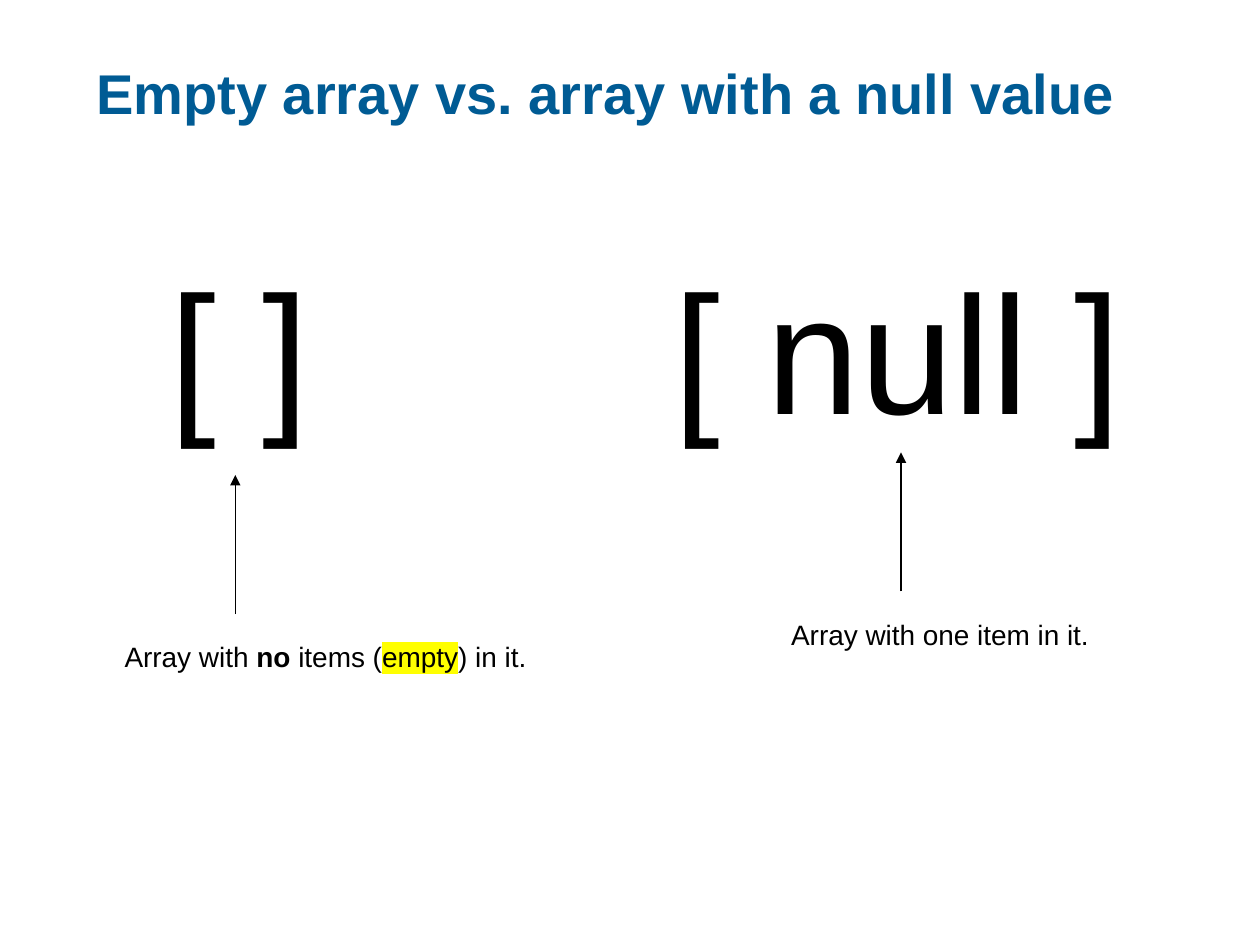
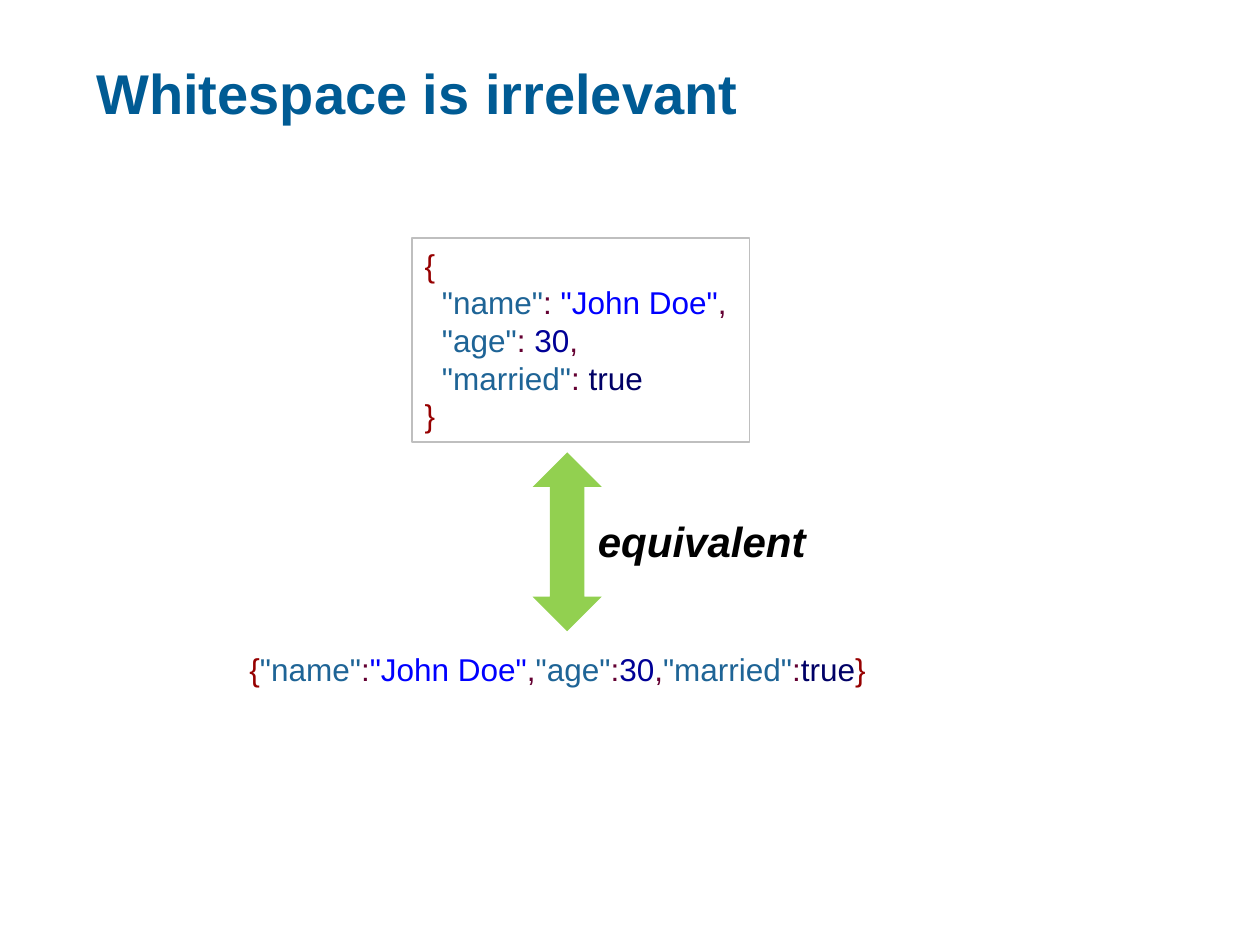
from pptx import Presentation
from pptx.dml.color import RGBColor
from pptx.enum.shapes import MSO_CONNECTOR, MSO_SHAPE
from pptx.enum.text import MSO_ANCHOR, PP_ALIGN
from pptx.oxml.ns import qn
from pptx.util import Pt
from lxml.etree import SubElement

FONT = "Arial"
COLORS = {
    "title": "005B94",
    "text": "000000",
    "highlight": "FFFF00",
    "frame": "BFBFBF",
    "arrow": "92D050",
    # JSON syntax
    "brace": "960000",
    "key": "1E6496",
    "mark": "640032",
    "string": "0000FF",
    "number": "000096",
    "literal": "000066",
}

OPENING = ("{", "brace")
CLOSING = ("}", "brace")
MEMBERS = [
    ('"name"', '"John Doe"', "string"),
    ('"age"', "30", "number"),
    ('"married"', "true", "literal"),
]


def color(name):
    return RGBColor.from_string(COLORS[name])


def style(para, size, name="text", bold=False, italic=False):
    font = para.font
    font.name, font.size = FONT, Pt(size)
    font.bold, font.italic = bold, italic
    font.color.rgb = color(name)


def add_box(page, left, top, width, height, wrap=False):
    box = page.shapes.add_textbox(Pt(left), Pt(top), Pt(width), Pt(height))
    box.text_frame.word_wrap = wrap
    return box


def add_label(page, box, text, size, **look):
    para = add_box(page, *box).text_frame.paragraphs[0]
    para.text = text
    style(para, size, **look)
    return para


def add_title(page, text):
    box = add_box(page, 48, 21.6, 648, 68.4, wrap=True)
    box.text_frame.vertical_anchor = MSO_ANCHOR.MIDDLE
    para = box.text_frame.paragraphs[0]
    para.text = text
    para.line_spacing = Pt(32)
    style(para, 32, "title", bold=True)


def add_up_arrow(page, x, top, length):
    arrow = page.shapes.add_connector(
        MSO_CONNECTOR.STRAIGHT, Pt(x), Pt(top + length), Pt(x), Pt(top))
    arrow.line.color.rgb = color("text")
    arrow.line.width = Pt(0.75)
    SubElement(arrow.line._get_or_add_ln(), qn("a:tailEnd"), type="triangle")
    SubElement(arrow._element.spPr, qn("a:effectLst"))


def highlight(span):
    mark = SubElement(span._r.get_or_add_rPr(), qn("a:highlight"))
    SubElement(mark, qn("a:srgbClr"), val=COLORS["highlight"])


def add_arrays(page, left, top, width, height, gap):
    """Both arrays on one line, the second at a tab stop."""
    box = add_box(page, left, top, width, height, wrap=True)
    para = box.text_frame.paragraphs[0]
    para.text = "[ ]\t[ null ]"
    tabs = SubElement(para._p.get_or_add_pPr(), qn("a:tabLst"))
    SubElement(tabs, qn("a:tab"), pos=str(Pt(gap)), algn="l")
    style(para, 96)


def add_note(page, left, top, width, arrow_offset, parts):
    """An arrow pointing up at an array, with its explanation below."""
    add_up_arrow(page, left + arrow_offset, top, 79.5)
    para = add_label(page, (left, top + 90.7, width, 26.6), "", 16)
    for text, emphasis in parts:
        span = para.add_run()
        span.text = text
        if emphasis == "bold":
            span.font.bold = True
        elif emphasis == "highlight":
            highlight(span)


def add_code(frame, lines):
    """Write lines of (text, syntax colour) pairs."""
    for index, line in enumerate(lines):
        para = frame.paragraphs[0] if index == 0 else frame.add_paragraph()
        para.alignment = PP_ALIGN.LEFT
        if len(lines) > 1:
            para.line_spacing = Pt(21.5)
        style(para, 18, "mark")
        for text, name in line:
            span = para.add_run()
            span.text = text
            span.font.color.rgb = color(name)


def json_lines(pretty):
    space, indent = (" ", "  ") if pretty else ("", "")
    rows = []
    for index, (key, value, kind) in enumerate(MEMBERS):
        row = [(indent + key, "key"), (":" + space, "mark"), (value, kind)]
        if index < len(MEMBERS) - 1:
            row.append((",", "mark"))
        rows.append(row)
    if pretty:
        return [[OPENING], *rows, [CLOSING]]
    return [[OPENING, *sum(rows, []), CLOSING]]


def add_framed_code(page, left, top, width, height):
    box = page.shapes.add_shape(
        MSO_SHAPE.RECTANGLE, Pt(left), Pt(top), Pt(width), Pt(height))
    box.shadow.inherit = False
    box.fill.background()
    box.line.color.rgb = color("frame")
    box.line.width = Pt(0.75)
    box.text_frame.word_wrap = True
    box.text_frame.vertical_anchor = MSO_ANCHOR.MIDDLE
    add_code(box.text_frame, json_lines(pretty=True))


def add_equivalence(page, left, top, width, height):
    """Double arrow with the word beside it."""
    arrow = page.shapes.add_shape(
        MSO_SHAPE.UP_DOWN_ARROW, Pt(left), Pt(top), Pt(width), Pt(height))
    arrow.shadow.inherit = False
    arrow.fill.solid()
    arrow.fill.fore_color.rgb = color("arrow")
    arrow.line.fill.background()
    add_label(page, (left + 30.2, top + 32.4, 134.6, 36.7), "equivalent", 24,
              bold=True, italic=True)


def build_array_slide(page):
    add_title(page, "Empty array vs. array with a null value")
    add_arrays(page, 90, 137.5, 564, 123.8, gap=288)
    add_note(page, 64.1, 271.4, 245.5, 70.4, [
        ("Array with ", None), ("no", "bold"), (" items (", None),
        ("empty", "highlight"), (") in it.", None)])
    add_note(page, 445, 258.5, 187.2, 69.9,
             [("Array with one item in it.", None)])


def build_whitespace_slide(page):
    add_title(page, "Whitespace is irrelevant")
    add_framed_code(page, 235.5, 136, 193, 116.6)
    compact = add_box(page, 135.4, 367.9, 375, 28.8, wrap=True)
    add_code(compact.text_frame, json_lines(pretty=False))
    add_equivalence(page, 304.4, 258.5, 39.4, 102.2)


def main():
    deck = Presentation()
    deck.slide_width, deck.slide_height = Pt(720), Pt(540)
    for build in (build_array_slide, build_whitespace_slide):
        build(deck.slides.add_slide(deck.slide_layouts[6]))
    deck.save("out.pptx")


if __name__ == "__main__":
    main()
